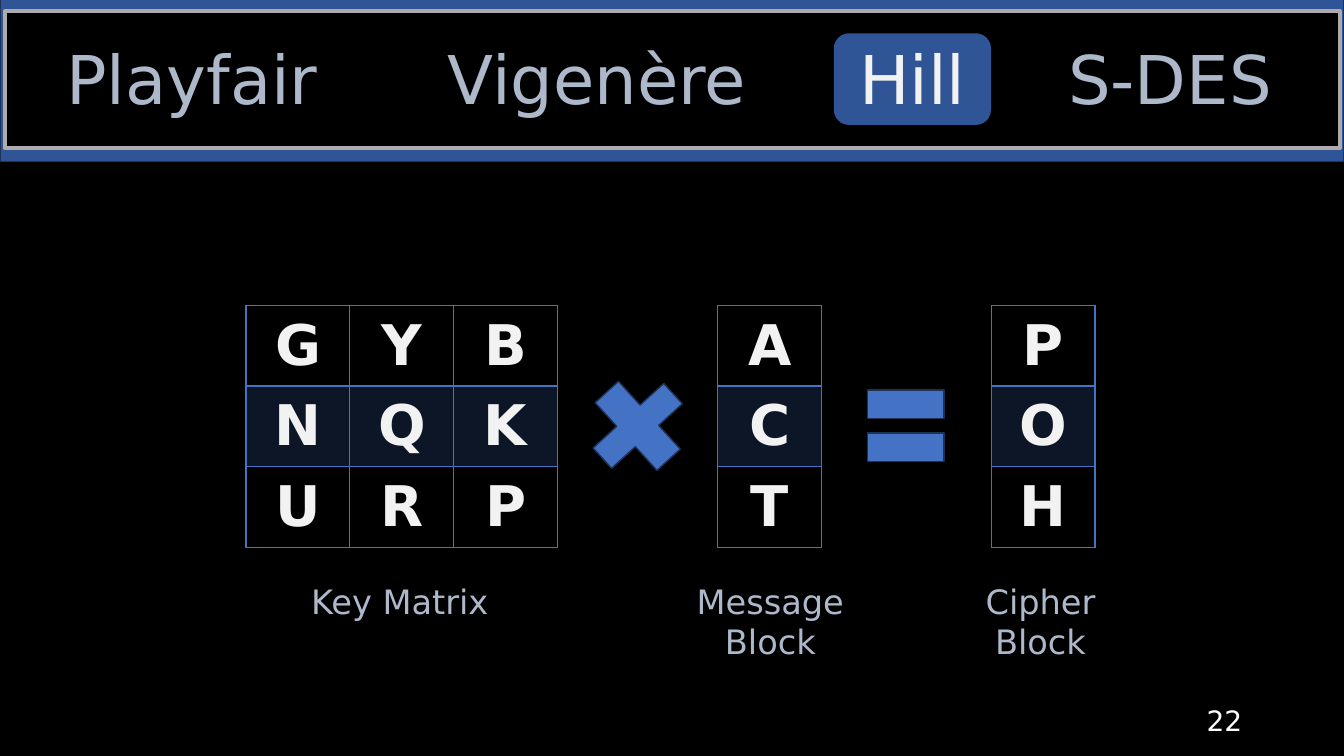
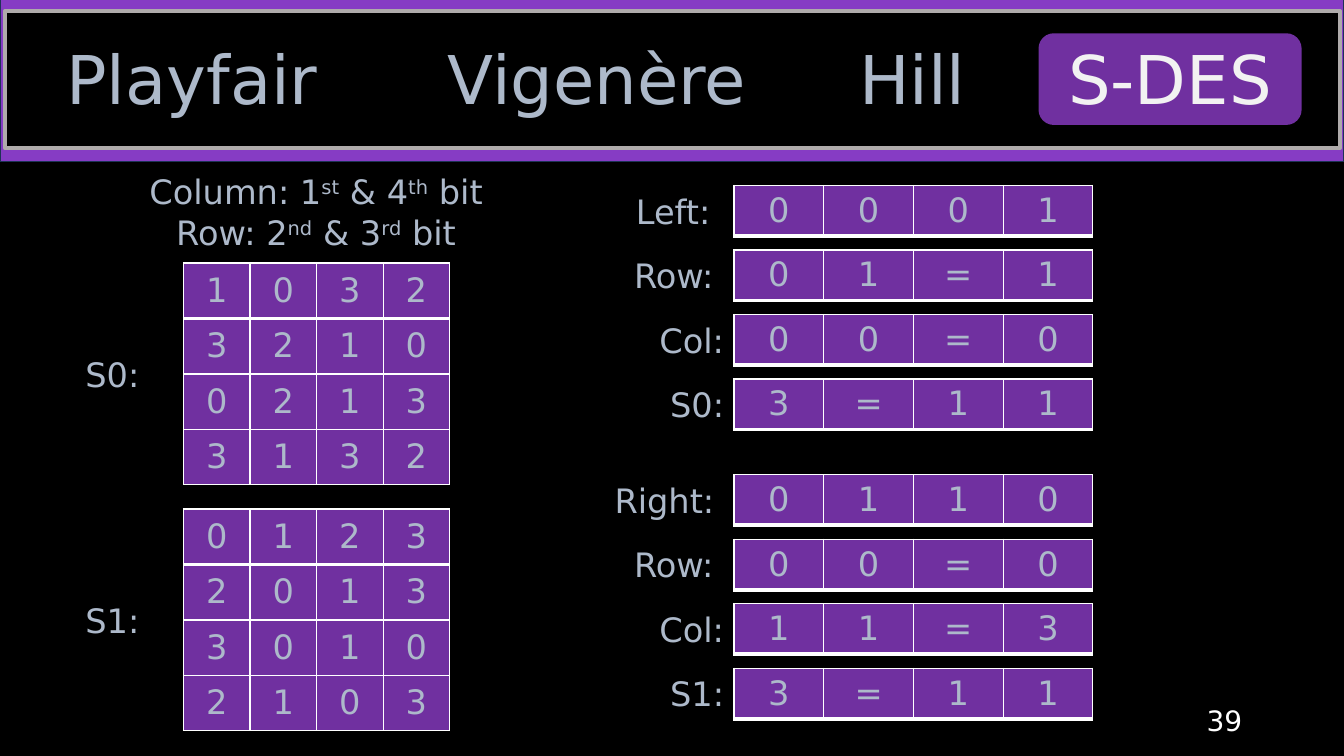
from lxml import etree
from pptx import Presentation
from pptx.dml.color import RGBColor
from pptx.enum.shapes import MSO_SHAPE
from pptx.enum.text import MSO_ANCHOR, PP_ALIGN
from pptx.oxml.ns import qn
from pptx.util import Inches, Pt

RECT, ROUNDED = MSO_SHAPE.RECTANGLE, MSO_SHAPE.ROUNDED_RECTANGLE
CROSS, EQUAL = MSO_SHAPE.CROSS, MSO_SHAPE.MATH_EQUAL
CENTER, RIGHT = PP_ALIGN.CENTER, PP_ALIGN.RIGHT
TOP, MIDDLE = MSO_ANCHOR.TOP, MSO_ANCHOR.MIDDLE

FONT = "DejaVu Sans"
COLORS = {
    "black": "000000", "white": "FFFFFF", "bright": "F2F2F2", "muted": "ADB9CA",
    "frame": "AFABAB", "outline": "1E3256", "blue": "4472C4",
    "hill": "2F5597", "sdes_band": "863CC4", "sdes": "7030A0",
}
RGB = {name: RGBColor.from_string(value) for name, value in COLORS.items()}


def add_text(slide, text, left, top, width, height, size=24, color="muted",
             align=CENTER, anchor=TOP):
    """Add a text box; parts between ^ marks are superscript."""
    frame = slide.shapes.add_textbox(
        Inches(left), Inches(top), Inches(width), Inches(height)).text_frame
    frame.word_wrap = True
    frame.vertical_anchor = anchor
    for number, line in enumerate(text.split("\n")):
        paragraph = frame.add_paragraph() if number else frame.paragraphs[0]
        for index, part in enumerate(line.split("^")):
            run = paragraph.add_run()
            run.text = part
            if index % 2:
                run._r.get_or_add_rPr().set("baseline", "30000")
        paragraph.alignment = align
        paragraph.font.name = FONT
        paragraph.font.size = Pt(size)
        paragraph.font.color.rgb = RGB[color]


def add_grid(slide, rows, left, top, cell_width, cell_height, border, rule,
             size=24, color="muted", bold=False, fill=None, stripe=None):
    """Add a table with one character per cell and a thicker rule below row one."""
    grid = slide.shapes.add_table(
        len(rows), len(rows[0]), Inches(left), Inches(top),
        Inches(cell_width * len(rows[0])), Inches(cell_height * len(rows))).table
    grid.first_row = grid.horz_banding = False
    for r, row in enumerate(rows):
        for c, character in enumerate(row):
            cell = grid.cell(r, c)
            cell.vertical_anchor = MIDDLE
            paragraph = cell.text_frame.paragraphs[0]
            paragraph.text = character
            paragraph.alignment = CENTER
            paragraph.font.name = FONT
            paragraph.font.size = Pt(size)
            paragraph.font.bold = bold
            paragraph.font.color.rgb = RGB[color]
            # Borders come before the fill in the cell properties
            properties = cell._tc.get_or_add_tcPr()
            for side in ("lnL", "lnR", "lnT", "lnB"):
                thick = (r, side) in ((0, "lnB"), (1, "lnT"))
                line = etree.SubElement(properties, qn("a:" + side),
                                        w=str(Pt(rule if thick else 1)))
                solid = etree.SubElement(line, qn("a:solidFill"))
                etree.SubElement(solid, qn("a:srgbClr"), val=COLORS[border])
            cell_fill = stripe if stripe and r % 2 else fill
            if cell_fill:
                cell.fill.solid()
                cell.fill.fore_color.rgb = RGB[cell_fill]
            else:
                cell.fill.background()
            if stripe and r % 2:
                tint = properties.find(qn("a:solidFill")).find(qn("a:srgbClr"))
                etree.SubElement(tint, qn("a:alpha"), val="20000")


deck = Presentation()
deck.slide_width, deck.slide_height = Inches(13.33), Inches(7.5)

# Navigation band and page number, shared by both slides
TABS = {"Playfair": (0.24, 3.33), "Vigenère": (4.05, 3.74),
        "Hill": (8.27, 1.56), "S-DES": (10.3, 2.61)}
slides = []
for active, band, pill, page in (("Hill", "hill", "hill", "22"),
                                 ("S-DES", "sdes_band", "sdes", "39")):
    slide = deck.slides.add_slide(deck.slide_layouts[6])
    slide.background.fill.solid()
    slide.background.fill.fore_color.rgb = RGB["black"]
    pill_left, pill_width = TABS[active]
    for kind, left, top, width, height, fill, outline, weight in (
            (RECT, 0, -0.02, 13.33, 1.62, band, "outline", 1),
            (RECT, 0.05, 0.11, 13.24, 1.36, "black", "frame", 3),
            (ROUNDED, pill_left, 0.33, pill_width, 0.91, pill, None, 0)):
        panel = slide.shapes.add_shape(
            kind, Inches(left), Inches(top), Inches(width), Inches(height))
        panel.shadow.inherit = False
        panel.fill.solid()
        panel.fill.fore_color.rgb = RGB[fill]
        if outline:
            panel.line.color.rgb = RGB[outline]
            panel.line.width = Pt(weight)
        else:
            panel.line.fill.background()
    for tab, (left, width) in TABS.items():
        add_text(slide, tab, left, 0.32, width, 0.91, size=48,
                 color="bright" if tab == active else "muted")
    add_text(slide, page, 9.42, 6.95, 3, 0.4, size=20, color="white",
             align=RIGHT, anchor=MIDDLE)
    slides.append(slide)
hill, sdes = slides

# Hill: key matrix times message block gives cipher block
for rows, left, caption, caption_left, caption_width in (
        (("GYB", "NQK", "URP"), 2.44, "Key Matrix", 2.4, 3.13),
        ("ACT", 7.12, "Message Block", 6.6, 2.08),
        ("POH", 9.83, "Cipher Block", 9.28, 2.08)):
    add_grid(hill, rows, left, 3.03, 1.03, 0.8, "blue", 2, size=40,
             color="bright", bold=True, stripe="blue")
    add_text(hill, caption, caption_left, 5.71, caption_width, 0.91)

times = hill.shapes.add_shape(
    CROSS, Inches(5.87), Inches(3.75), Inches(0.91), Inches(0.95))
times.rotation = 47.6
times.adjustments[0] = 0.35
equals = hill.shapes.add_shape(
    EQUAL, Inches(8.47), Inches(3.62), Inches(1.03), Inches(1.21))
for operator in (times, equals):
    operator.shadow.inherit = False
    operator.fill.solid()
    operator.fill.fore_color.rgb = RGB["blue"]
    operator.line.color.rgb = RGB["outline"]
    operator.line.width = Pt(1)

# S-DES: substitution boxes
add_text(sdes, "Column: 1^st^ & 4^th^ bit\nRow: 2^nd^ & 3^rd^ bit",
         0.58, 1.65, 5.11, 0.91)
for name, rows, top in (("S0:", ("1032", "3210", "0213", "3132"), 2.61),
                        ("S1:", ("0123", "2013", "3010", "2103"), 5.05)):
    add_text(sdes, name, 0.65, top + 0.85, 0.93, 0.5)
    add_grid(sdes, rows, 1.82, top, 0.66, 0.55, "white", 3, fill="sdes")

# S-DES: lookup steps for the left and right halves
LOOKUPS = (
    (1.84, 6.16, 1.14, (("Left: ", "0001"), ("Row: ", "01=1"),
                        ("Col:", "00=0"), ("S0:", "3=11"))),
    (4.71, 5.78, 1.62, (("Right:", "0110"), ("Row: ", "00=0"),
                        ("Col:", "11=3"), ("S1:", "3=11"))),
)
for block_top, half_left, half_width, steps in LOOKUPS:
    for index, (label, bits) in enumerate(steps):
        top = block_top + 0.64 * index
        if index == 0:
            add_text(sdes, label, half_left, top, half_width, 0.5)
        else:
            add_text(sdes, label, 5.95, top, 1.33, 0.5, align=RIGHT)
        add_grid(sdes, [bits], 7.28, top, 0.89, 0.5, "white", 3, fill="sdes")

deck.save("out.pptx")
